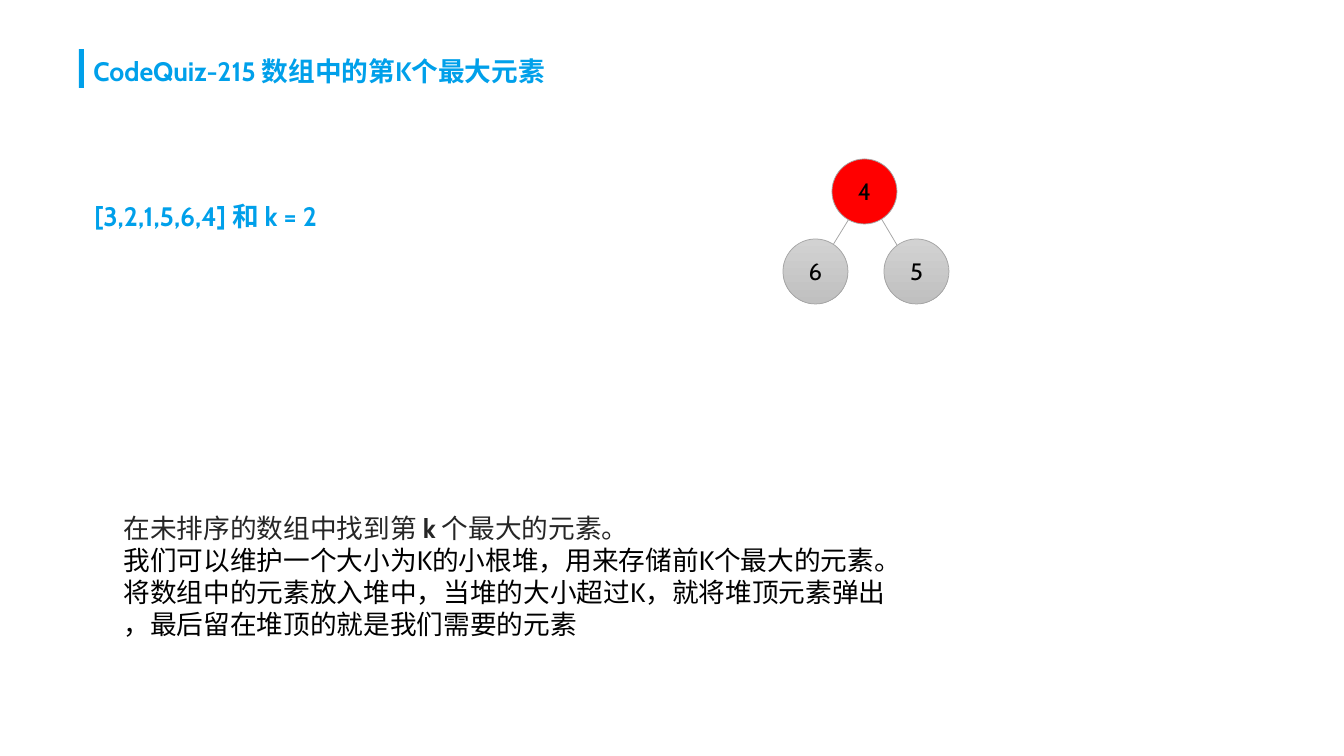
from lxml import etree
from pptx import Presentation, util as u
from pptx.dml.color import RGBColor
from pptx.enum import shapes, text
from pptx.oxml import ns

PX = 8572.5  # EMU per px
BLUE, GREY, BLACK = "00A0EA", "A5A5A5", "000000"


def color(value):
    return RGBColor.from_string(value)


def write(frame, paragraphs, size=18, ink=BLACK, bold=False, align=None):
    """Each paragraph is a list of (words, format overrides)."""
    frame.word_wrap = True
    for index, spans in enumerate(paragraphs):
        para = frame.paragraphs[0] if index == 0 else frame.add_paragraph()
        para.alignment = align
        for words, changes in spans:
            span = para.add_run()
            span.text = words
            span.font.name = "Cabin"
            span.font.size = u.Pt(size)
            span.font.bold = changes.get("bold", bold)
            span.font.color.rgb = color(changes.get("ink", ink))


deck = Presentation()
deck.slide_width, deck.slide_height = round(1344 * PX), round(756 * PX)
page = deck.slides.add_slide(deck.slide_layouts[6])

# Title bar
bar = page.shapes.add_shape(shapes.MSO_SHAPE.RECTANGLE,
                            *[round(v * PX) for v in (79, 49, 5, 39)])
bar.shadow.inherit = False
bar.fill.solid()
bar.fill.fore_color.rgb = color(BLUE)
bar.line.fill.background()

# Title, sample input and explanation
dark = {"ink": "262626"}
explanation = [
    [("在未排序的数组中找到第 ", dark), ("k", {"ink": "262626", "bold": True}),
     (" 个最大的元素。", dark)],
    [("我们可以维护一个大小为K的小根堆，用来存储前K个最大的元素。", {})],
    [("将数组中的元素放入堆中，当堆的大小超过K，就将堆顶元素弹出", {})],
    [("，最后留在堆顶的就是我们需要的元素", {})],
]
heading = {"ink": BLUE, "bold": True}
for place, paragraphs, style in (
    ((83, 50, 671, 43), [[("CodeQuiz-215 数组中的第K个最大元素", {})]], heading),
    ((84, 195, 287, 43), [[("[3,2,1,5,6,4] 和 k = 2", {})]], heading),
    ((113, 507, 795, 140), explanation, {}),
):
    box = page.shapes.add_textbox(*[round(v * PX) for v in place])
    write(box.text_frame, paragraphs, **style)

# Heap edges, drawn behind the nodes
for ends in ((865, 191, 913, 272), (868, 188, 817, 271)):
    edge = page.shapes.add_connector(shapes.MSO_CONNECTOR.STRAIGHT,
                                     *[round(v * PX) for v in ends])
    edge.line.color.rgb = color(GREY)
    edge.line.width = u.Pt(0.5)
    etree.SubElement(edge._element.spPr, ns.qn("a:effectLst"))

# Heap nodes: red root, grey children
for label, left, top in (("4", 832, 159), ("6", 783, 239), ("5", 884, 239)):
    node = page.shapes.add_shape(shapes.MSO_SHAPE.OVAL,
                                 *[round(v * PX) for v in (left, top, 65, 65)])
    node.shadow.inherit = False
    if label == "4":
        node.fill.solid()
        node.fill.fore_color.rgb = color("FF0000")
    else:
        node.fill.gradient()
        node.fill.gradient_angle = 270
        for stop, shade in zip(node.fill.gradient_stops, ("D2D2D2", "C0C0C0")):
            stop.color.rgb = color(shade)
    node.line.color.rgb = color(GREY)
    node.line.width = u.Pt(0.5)
    node.text_frame.vertical_anchor = text.MSO_ANCHOR.MIDDLE
    write(node.text_frame, [[(label, {})]], size=16, align=text.PP_ALIGN.CENTER)

deck.save("out.pptx")
